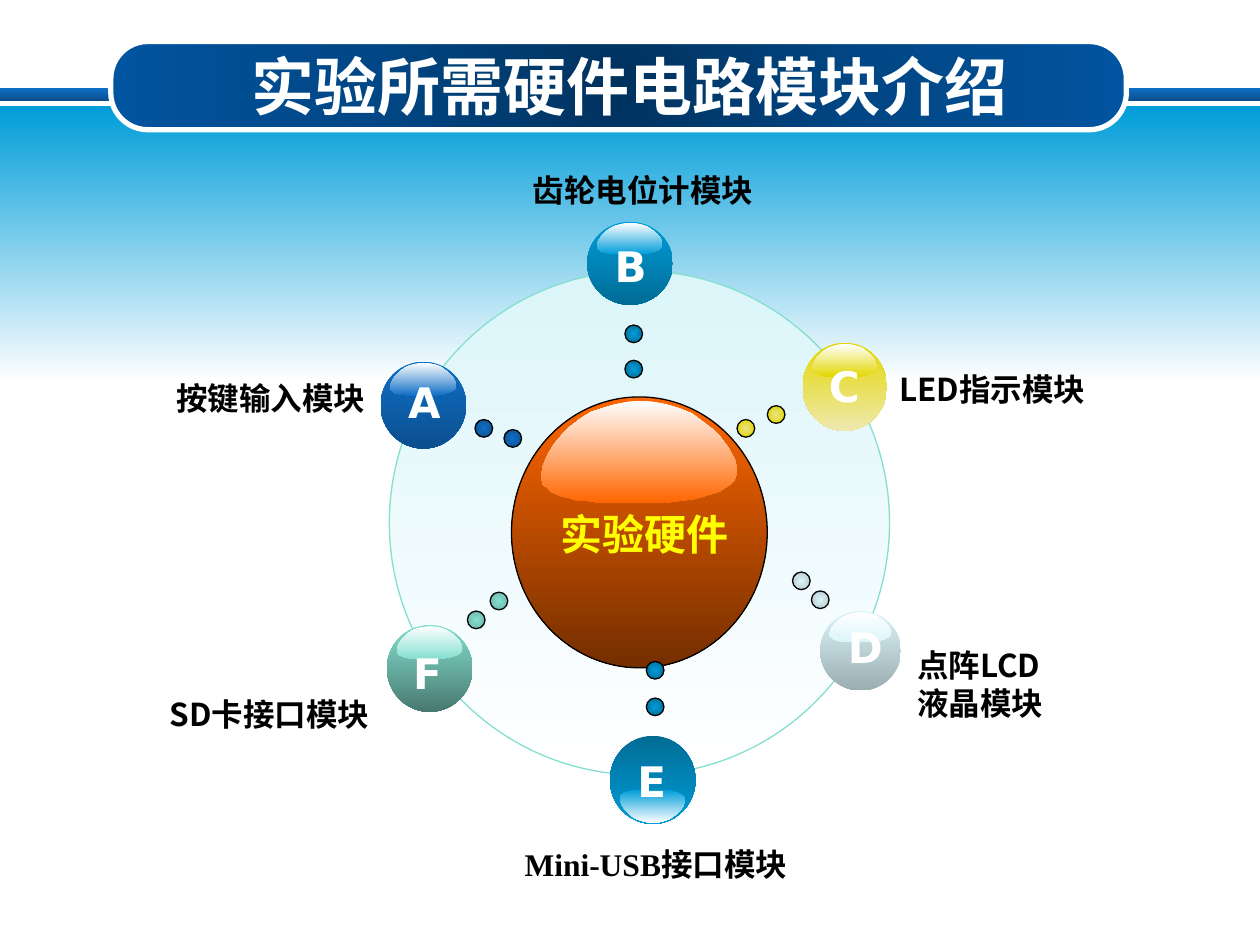
from copy import deepcopy

from lxml.etree import SubElement
from pptx import Presentation
from pptx.dml.color import RGBColor
from pptx.enum.shapes import MSO_SHAPE as Shape
from pptx.enum.text import MSO_ANCHOR as Anchor, PP_ALIGN as Align
from pptx.oxml.ns import qn
from pptx.util import Inches, Pt

WHITE = RGBColor(0xFF, 0xFF, 0xFF)
BLACK = RGBColor(0x00, 0x00, 0x00)
YELLOW = RGBColor(0xFF, 0xFF, 0x00)
BLUE = RGBColor(0x0F, 0x6F, 0xC6)
BLUE_DARK = RGBColor(0x0B, 0x4F, 0x8E)
BLUE_DOT = RGBColor(0x0C, 0x54, 0x97)
CYAN = RGBColor(0x00, 0x9D, 0xD9)
CYAN_DARK = RGBColor(0x00, 0x6C, 0x95)
CYAN_DOT = RGBColor(0x00, 0x71, 0x9D)
GOLD = RGBColor(0xE2, 0xD7, 0x00)
GOLD_PALE = RGBColor(0xEF, 0xE9, 0xB0)
GOLD_DOT = RGBColor(0xE9, 0xE2, 0x8A)
ICE = RGBColor(0xDB, 0xF5, 0xF9)
ICE_DARK = RGBColor(0x9B, 0xAE, 0xB1)
ICE_DOT = RGBColor(0xB8, 0xCD, 0xD1)
MINT = RGBColor(0x85, 0xDF, 0xD0)
MINT_DARK = RGBColor(0x48, 0x79, 0x70)
MINT_DOT = RGBColor(0x70, 0xBB, 0xAE)
ORANGE = RGBColor(0xFF, 0x66, 0x00)
ORANGE_DARK = RGBColor(0x74, 0x2E, 0x00)
NAVY = RGBColor(0x01, 0x32, 0x5E)
NAVY_MID = RGBColor(0x01, 0x47, 0x86)
NAVY_LIGHT = RGBColor(0x01, 0x54, 0x9F)

CJK_FONT = "Noto Sans CJK JP"
LETTER_FONT = "DejaVu Sans"
DOT_SIZE = 0.14

GLOSS_WIDTH, GLOSS_HEIGHT = 156, 81
GLOSS_OUTLINE = [
    (154, 46), (156, 51), (156, 59), (154, 63), (151, 66), (147, 69),
    (142, 72), (136, 74), (129, 76), (122, 78), (114, 79), (106, 80),
    (98, 81), (56, 81), (48, 81), (41, 80), (34, 79), (28, 79), (22, 77),
    (17, 76), (12, 74), (8, 72), (5, 69), (2, 67), (1, 63), (0, 60),
    (1, 56), (2, 51), (6, 42), (11, 34), (17, 27), (24, 20), (32, 14),
    (40, 9), (49, 6), (59, 3), (69, 1), (79, 0), (90, 1), (100, 3),
    (110, 6), (120, 10), (128, 16), (136, 22), (143, 29), (149, 37),
]


def paint(shape, colours, line=None, weight=0.75, radial=None):
    shape.shadow.inherit = False
    shape.fill.gradient()
    gradient = shape.fill._xPr.find(qn("a:gradFill"))
    stop_list = gradient.find(qn("a:gsLst"))
    while len(stop_list) < len(colours):
        stop_list.append(deepcopy(stop_list[-1]))
    for i, (stop, colour) in enumerate(zip(shape.fill.gradient_stops, colours)):
        stop.color.rgb = colour
        stop.position = i / (len(colours) - 1)
    if radial:
        gradient.remove(gradient.find(qn("a:lin")))
        centre = SubElement(gradient, qn("a:path"), {"path": radial})
        SubElement(centre, qn("a:fillToRect"), {side: "50000" for side in "ltrb"})
    else:
        shape.fill.gradient_angle = 270
    if line is None:
        shape.line.fill.background()
    else:
        shape.line.color.rgb = line
        shape.line.width = Pt(weight)


def add_text(text, box, size=18, font=CJK_FONT, colour=BLACK,
             align=Align.LEFT, wrap=True, anchor=Anchor.TOP):
    frame = slide.shapes.add_textbox(*map(Inches, box)).text_frame
    frame.word_wrap = wrap
    frame.vertical_anchor = anchor
    paragraph = frame.paragraphs[0]
    paragraph.alignment = align
    run = paragraph.add_run()
    run.text = text
    run.font.size = Pt(size)
    run.font.bold = True
    run.font.color.rgb = colour
    run.font.name = font
    SubElement(run.font._element, qn("a:ea"), {"typeface": CJK_FONT})


prs = Presentation()
prs.slide_width, prs.slide_height = Inches(10), Inches(7.5)
slide = prs.slides.add_slide(prs.slide_layouts[6])

for band_top, band_height, colours in [(0.7, 0.1, (BLUE, BLUE_DARK)), (0.84, 2.2, (CYAN, WHITE))]:
    band = slide.shapes.add_shape(
        Shape.RECTANGLE, 0, Inches(band_top), prs.slide_width, Inches(band_height))
    paint(band, colours)

banner = slide.shapes.add_shape(
    Shape.ROUNDED_RECTANGLE, *map(Inches, (0.88, 0.33, 8.06, 0.7)))
banner.adjustments[0] = 0.42
paint(banner, (NAVY, NAVY_MID, NAVY_LIGHT), WHITE, 3, radial="circle")
add_text("实验所需硬件电路模块介绍", (0.5, 0.29, 9, 0.77), size=36, font="Calibri",
         colour=WHITE, align=Align.CENTER, anchor=Anchor.MIDDLE)

ring = slide.shapes.add_shape(Shape.OVAL, *map(Inches, (3.09, 2.15, 3.97, 4)))
paint(ring, (ICE, WHITE), MINT)

balls = [
    ((4.06, 3.15, 2.03, 2.15), ORANGE, ORANGE_DARK, BLACK, False),
    ((3.02, 2.87, 0.68, 0.69), BLUE, BLUE_DARK, None, False),
    ((4.66, 1.76, 0.68, 0.66), CYAN, CYAN_DARK, None, False),
    ((6.37, 2.72, 0.67, 0.7), GOLD, GOLD_PALE, None, False),
    ((6.51, 4.85, 0.64, 0.63), ICE, ICE_DARK, None, False),
    ((4.84, 5.84, 0.68, 0.7), CYAN, CYAN_DARK, None, True),
    ((3.07, 4.96, 0.68, 0.69), MINT, MINT_DARK, None, False),
]
for box, light, dark, outline, upside_down in balls:
    left, top, width, height = box
    order = -1 if upside_down else 1
    ball = slide.shapes.add_shape(Shape.OVAL, *map(Inches, box))
    paint(ball, (light, dark)[::order], outline)

    points = [(x, GLOSS_HEIGHT - y if upside_down else y) for x, y in GLOSS_OUTLINE]
    gloss_height = 0.377 * height
    gloss_top = top + (0.61 if upside_down else 0.014) * height
    builder = slide.shapes.build_freeform(
        *points[0],
        scale=(Inches(0.767 * width) / GLOSS_WIDTH, Inches(gloss_height) / GLOSS_HEIGHT))
    builder.add_line_segments(points[1:], close=True)
    gloss = builder.convert_to_shape(Inches(left + 0.114 * width), Inches(gloss_top))
    paint(gloss, (WHITE, light)[::order])

dots = [
    (BLUE, BLUE_DOT, [(3.77, 3.33), (4, 3.41)]),
    (CYAN, CYAN_DOT, [(4.96, 2.58), (4.96, 2.86), (5.13, 5.25), (5.13, 5.54)]),
    (GOLD_DOT, GOLD, [(5.85, 3.33), (6.09, 3.22)]),
    (ICE, ICE_DOT, [(6.29, 4.54), (6.44, 4.69)]),
    (MINT, MINT_DOT, [(3.71, 4.85), (3.89, 4.7)]),
]
for inner, outer, places in dots:
    for left, top in places:
        dot = slide.shapes.add_shape(
            Shape.OVAL, *map(Inches, (left, top, DOT_SIZE, DOT_SIZE)))
        paint(dot, (inner, outer), BLACK, radial="shape")

add_text("实验硬件", (4.35, 3.99, 1.56, 0.51), size=24, font="Calibri",
         colour=YELLOW, wrap=False)

letters = [("A", 3.14, 2.94), ("B", 4.78, 1.86), ("C", 6.48, 2.81),
           ("D", 6.63, 4.88), ("E", 4.96, 5.95), ("F", 3.18, 5.09)]
for letter, left, top in letters:
    add_text(letter, (left, top, 0.45, 0.5), size=24, font=LETTER_FONT,
             colour=WHITE, wrap=False)

modules = [
    ("按键输入模块", (1.3, 2.96, 1.72, 0.4), Align.LEFT, CJK_FONT),
    ("齿轮电位计模块", (3.48, 1.31, 3.25, 0.4), Align.CENTER, CJK_FONT),
    ("LED指示模块", (7.04, 2.89, 1.74, 0.4), Align.LEFT, CJK_FONT),
    ("点阵LCD液晶模块", (7.18, 5.08, 1.2, 0.71), Align.LEFT, CJK_FONT),
    ("Mini-USB接口模块", (3.58, 6.66, 3.25, 0.4), Align.CENTER, "Times New Roman"),
    ("SD卡接口模块", (1.17, 5.47, 1.86, 0.4), Align.RIGHT, CJK_FONT),
]
for label, box, align, font in modules:
    add_text(label, box, align=align, font=font)

prs.save("out.pptx")
